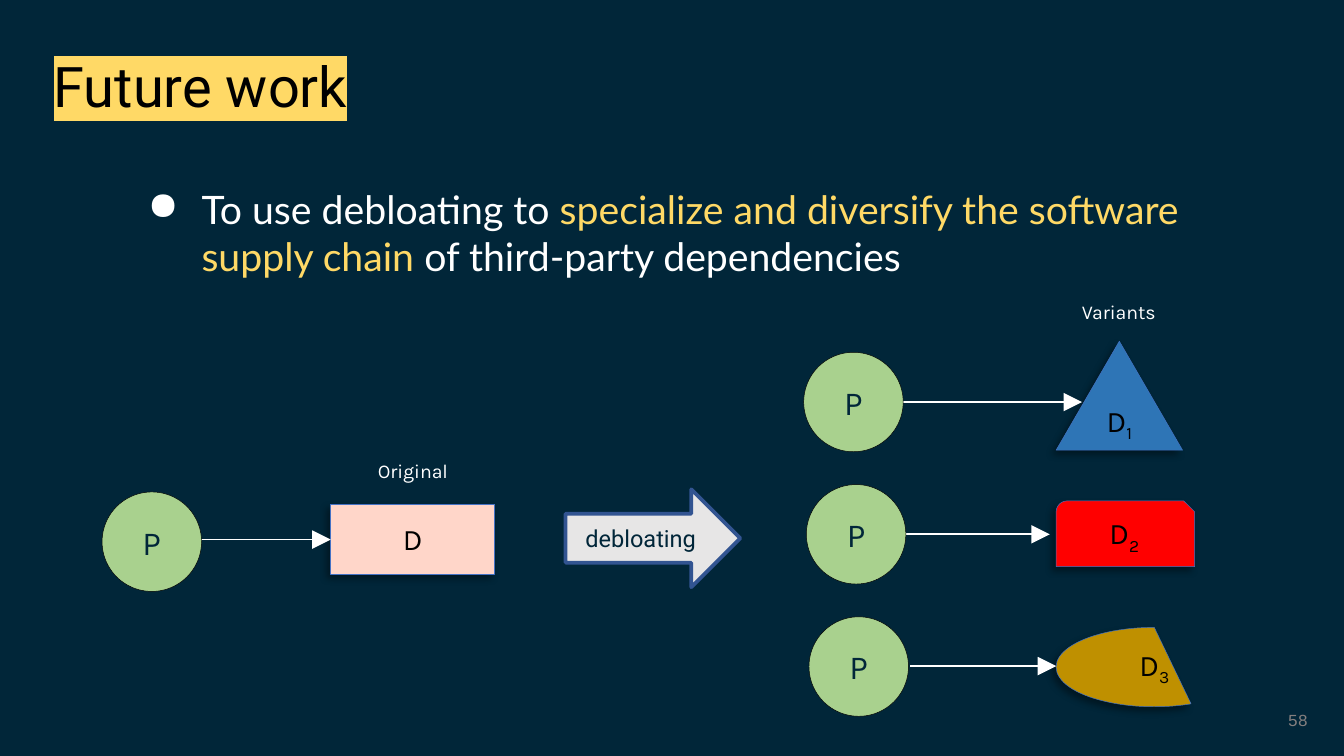
from lxml.etree import SubElement
from pptx import Presentation
from pptx.dml.color import RGBColor
from pptx.enum.shapes import MSO_CONNECTOR, MSO_SHAPE as SHAPE
from pptx.enum.text import MSO_ANCHOR as ANCHOR, MSO_AUTO_SIZE, PP_ALIGN as ALIGN
from pptx.oxml import parse_xml
from pptx.oxml.ns import nsdecls, qn
from pptx.util import Cm, Pt

COLORS = {
    "navy": "012639", "white": "FFFFFF", "black": "000000", "yellow": "FFD966",
    "gray": "847F7F", "green": "A9D18E", "pink": "FFD6C9", "red": "FF0000",
    "gold": "BF9000", "blue": "2E75B6", "outline": "4472C4",
    "pale": "E7E6E6", "indigo": "325491",
}
SHADOW = (
    f'<a:effectLst {nsdecls("a")}><a:outerShdw blurRad="50800" dist="38100" '
    'dir="8100000" algn="tr" rotWithShape="0"><a:srgbClr val="000000">'
    '<a:alpha val="40000"/></a:srgbClr></a:outerShdw></a:effectLst>'
)


def write(shape, pieces, font, size, align=ALIGN.CENTER, anchor=ANCHOR.MIDDLE):
    frame = shape.text_frame
    frame.word_wrap = True
    frame.auto_size = MSO_AUTO_SIZE.NONE
    frame.vertical_anchor = anchor
    paragraph = frame.paragraphs[0]
    paragraph.alignment = align
    for text, color in pieces:
        run = paragraph.add_run()
        run.text = text
        run.font.name = font
        run.font.size = Pt(size)
        run.font.color.rgb = RGBColor.from_string(COLORS[color])
    return paragraph


def add_figure(kind, left, top, width, height, fill, line, line_width=0.25):
    shape = slide.shapes.add_shape(kind, Cm(left), Cm(top), Cm(width), Cm(height))
    shape.shadow.inherit = False
    shape.fill.solid()
    shape.fill.fore_color.rgb = RGBColor.from_string(COLORS[fill])
    shape.line.color.rgb = RGBColor.from_string(COLORS[line])
    shape.line.width = Pt(line_width)
    return shape


presentation = Presentation()
presentation.slide_width = Cm(25.4)
presentation.slide_height = Cm(14.29)
slide = presentation.slides.add_slide(presentation.slide_layouts[5])
slide.background.fill.solid()
slide.background.fill.fore_color.rgb = RGBColor.from_string(COLORS["navy"])

title = slide.shapes.title
title.left, title.top, title.width, title.height = Cm(0.76), Cm(0.99), Cm(18.57), Cm(1.37)
paragraph = write(title, [("Future work", "black")], "Roboto", 30, ALIGN.LEFT, ANCHOR.TOP)
paragraph.line_spacing = 0.9
properties = paragraph.runs[0]._r.get_or_add_rPr()
highlight = parse_xml(
    f'<a:highlight {nsdecls("a")}><a:srgbClr val="{COLORS["yellow"]}"/></a:highlight>'
)
properties.find(qn("a:solidFill")).addnext(highlight)

body = slide.shapes.add_textbox(Cm(2.29), Cm(3.25), Cm(21.87), Cm(2.31))
body.text_frame.margin_top = body.text_frame.margin_bottom = Cm(0.25)
paragraph = write(body, [
    ("To use debloating to ", "white"),
    ("specialize and diversify the software supply chain ", "yellow"),
    ("of third-party dependencies", "white"),
], "Lato", 21, ALIGN.LEFT, ANCHOR.TOP)
properties = paragraph._p.get_or_add_pPr()
properties.set("marL", str(Cm(1.27)))
properties.set("indent", str(-Cm(1.02)))
bullet_color = SubElement(properties, qn("a:buClr"))
SubElement(bullet_color, qn("a:srgbClr"), val=COLORS["white"])
SubElement(properties, qn("a:buChar"), char="●")

for text, left, top in [("Original", 5.94, 8.56), ("Variants", 19.28, 5.54)]:
    label = slide.shapes.add_textbox(Cm(left), Cm(top), Cm(3.73), Cm(0.71))
    write(label, [(text, "white")], "Karla", 10.5, anchor=ANCHOR.TOP)

page_number = slide.shapes.add_textbox(Cm(19.25), Cm(13.23), Cm(5.72), Cm(0.76))
write(page_number, [("58", "gray")], "Courier New", 9, ALIGN.RIGHT)

dependencies = [
    (SHAPE.ROUNDED_RECTANGLE, 6.25, 9.53, 3.1, 1.32, "pink", ""),
    (SHAPE.ISOSCELES_TRIANGLE, 19.96, 6.45, 2.39, 2.06, "blue", "1"),
    (SHAPE.SNIP_ROUND_RECTANGLE, 19.96, 9.47, 2.62, 1.24, "red", "2"),
    (SHAPE.CHORD, 19.96, 11.86, 3.71, 1.5, "gold", "3"),
]
for kind, left, top, width, height, fill, index in dependencies:
    dependency = add_figure(kind, left, top, width, height, fill, "outline")
    if kind == SHAPE.ROUNDED_RECTANGLE:
        dependency.adjustments[0] = 0
    properties = dependency._element.spPr
    properties.replace(properties.find(qn("a:effectLst")), parse_xml(SHADOW))
    pieces = [("D", "black")] + ([(index, "black")] if index else [])
    paragraph = write(dependency, pieces, "Karla", 16)
    for run in paragraph.runs[1:]:
        run._r.get_or_add_rPr().set("baseline", "-25000")

for start, end, y in [(3.48, 6.25, 10.2), (17.07, 20.45, 7.6),
                      (17.07, 19.84, 10.1), (17.2, 19.96, 12.59)]:
    arrow = slide.shapes.add_connector(
        MSO_CONNECTOR.STRAIGHT, Cm(start), Cm(y), Cm(end), Cm(y))
    arrow.line.color.rgb = RGBColor.from_string(COLORS["white"])
    arrow.line.width = Pt(1)
    SubElement(arrow.line._get_or_add_ln(), qn("a:tailEnd"), type="triangle", w="lg", len="lg")
    SubElement(arrow._element.spPr, qn("a:effectLst"))

projects = [(1.93, 9.3)] + [(15.19 + 0.05 * row, 6.66 + 2.5 * row) for row in range(3)]
for left, top in projects:
    project = add_figure(SHAPE.OVAL, left, top, 1.88, 1.88, "green", "black")
    write(project, [("P", "navy")], "Karla", 18)

debloating = add_figure(SHAPE.RIGHT_ARROW, 10.69, 9.25, 3.3, 1.85, "pale", "indigo", 2)
write(debloating, [("debloating", "navy")], "Roboto", 12.6)

presentation.save("out.pptx")
